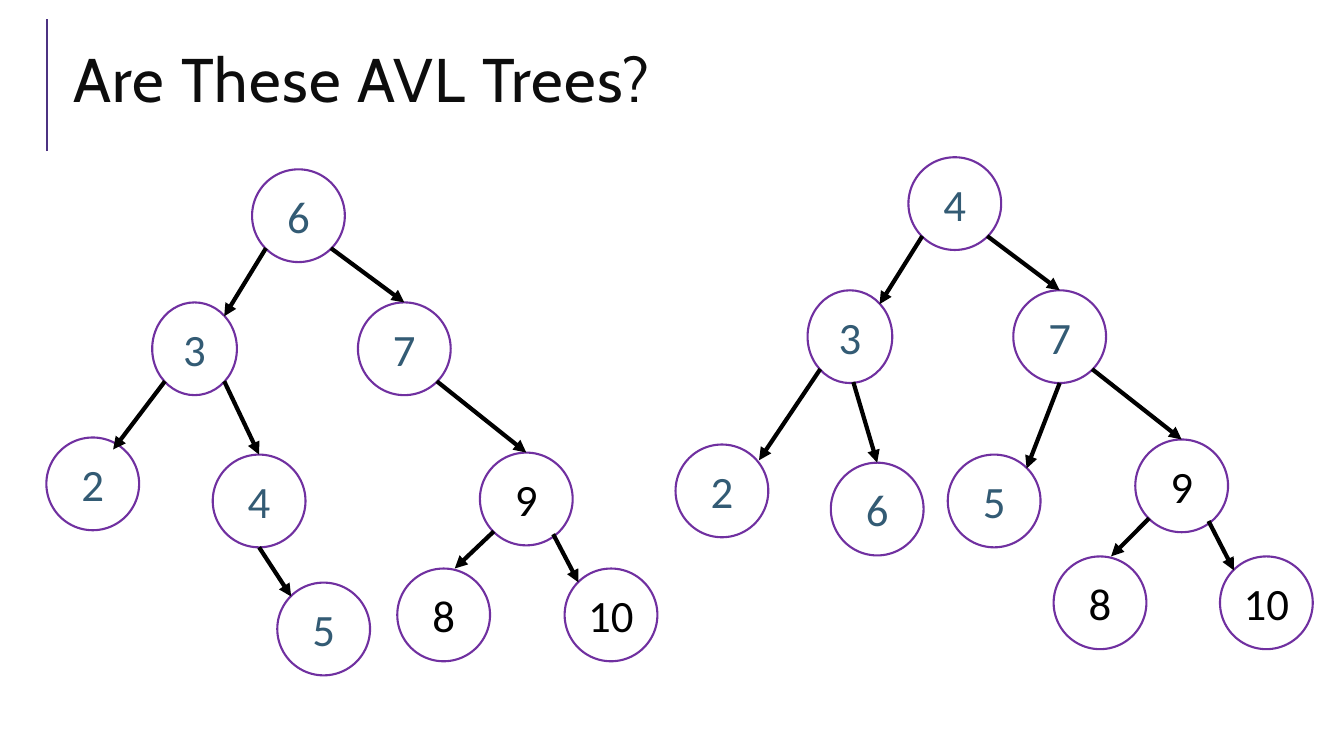
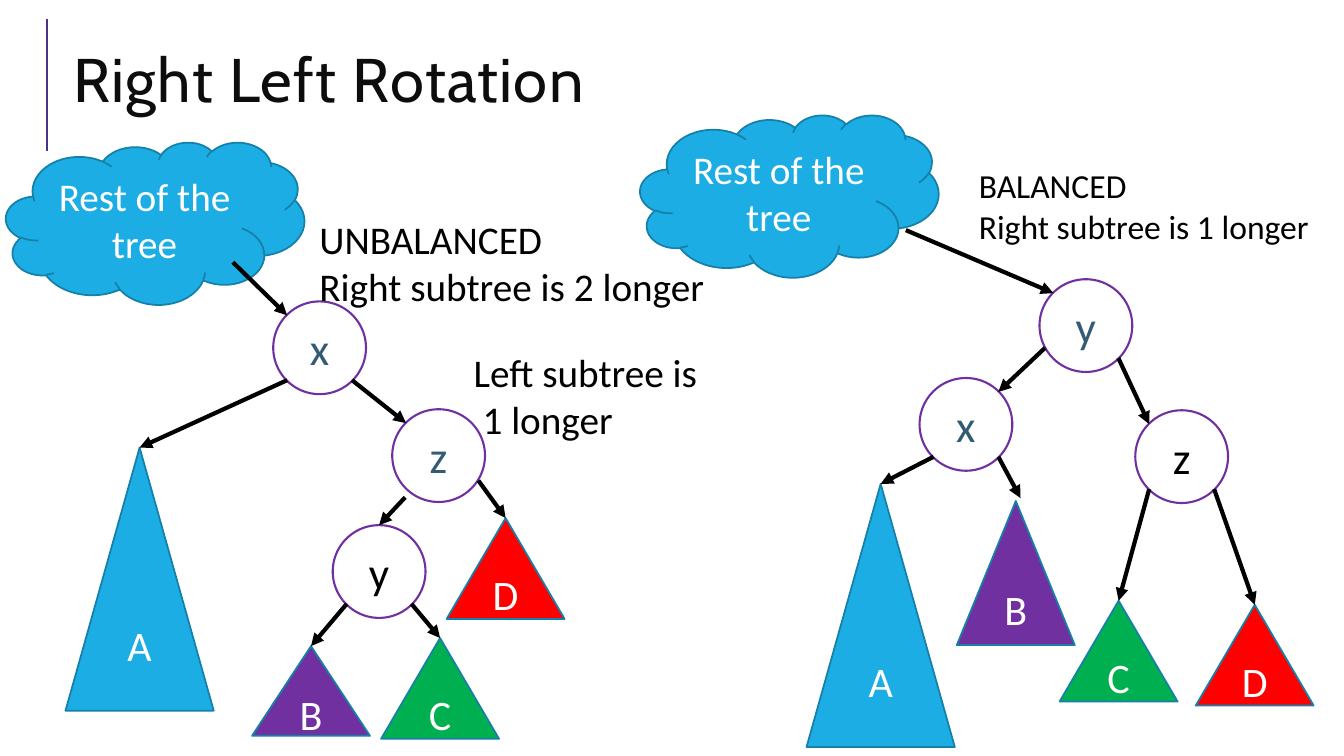
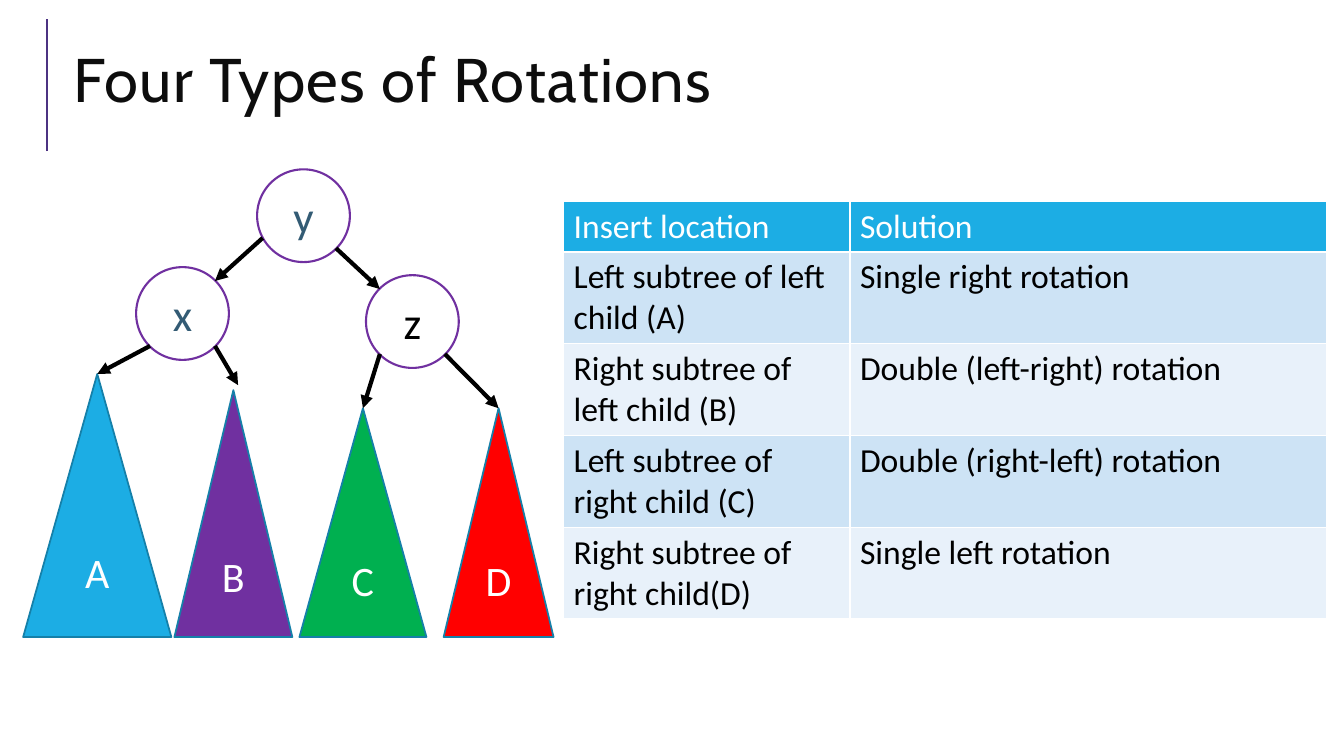
from itertools import cycle

from lxml.etree import SubElement
from pptx import Presentation
from pptx.dml.color import RGBColor
from pptx.enum.shapes import MSO_CONNECTOR, MSO_SHAPE as Preset
from pptx.enum.text import MSO_ANCHOR as Anchor, PP_ALIGN as Align
from pptx.oxml.ns import qn
from pptx.util import Inches, Pt

presentation = Presentation()
presentation.slide_width, presentation.slide_height = Inches(13.33), Inches(7.5)
COLUMN = presentation.slide_width / 13.33
ROW = presentation.slide_height / 7.5

rgb = RGBColor.from_string
BLACK, WHITE, TEAL, BLUE = "000000", "FFFFFF", "335B74", "1CADE4"
PURPLE, DARK_BLUE, TITLE_BAR, TITLE_COLOR = "7030A0", "1580A9", "4C3282", "0D0D0D"
BODY_FONT, TITLE_FONT = "Calibri", "Cabin"
SUBTREE_FILLS = {"A": BLUE, "B": PURPLE, "C": "00B050", "D": "FF0000"}
CLOUD = "Rest of the tree"
CIRCLE = 0.92

# kind: preset, outline, outline width, text size, text colour, side margin
STYLES = {
    "node": (Preset.OVAL, PURPLE, 1.5, 32, TEAL, 0),
    "black node": (Preset.OVAL, PURPLE, 1.5, 32, BLACK, 0),
    "subtree": (Preset.ISOSCELES_TRIANGLE, DARK_BLUE, 1.25, 30, WHITE, 0),
    "cloud": (Preset.CLOUD, DARK_BLUE, 1.25, 28, WHITE, 0.1),
}

# Where an arrow touches a shape, as shares of the shape's width and height
TOP, BOTTOM = (0.5, 0), (0.5, 1)
TOP_LEFT, TOP_RIGHT = (0.15, 0.15), (0.85, 0.15)
BOTTOM_LEFT, BOTTOM_RIGHT = (0.15, 0.85), (0.85, 0.85)
RIGHT_OF_TOP, LOW_RIGHT, LOW_LEFT = (0.62, 0), (0.79, 0.88), (0.06, 0.74)
ABOVE_TOP = (0.54, -0.02)

# Each tree: shapes as name: (kind, left, top, width, height), then arrows
number_trees = [
    ({
        "6": ("node", 2.5, 1.68, CIRCLE, CIRCLE),
        "3": ("node", 1.51, 3, 0.84, CIRCLE),
        "7": ("node", 3.55, 3, CIRCLE, CIRCLE),
        "2": ("node", 0.46, 4.34, CIRCLE, CIRCLE),
        "4": ("node", 2.11, 4.51, CIRCLE, CIRCLE),
        "5": ("node", 2.75, 5.78, CIRCLE, CIRCLE),
        "9": ("black node", 4.76, 4.49, CIRCLE, CIRCLE),
        "8": ("black node", 3.94, 5.64, CIRCLE, CIRCLE),
        "10": ("black node", 5.6, 5.64, CIRCLE, CIRCLE),
    }, [
        ("6", BOTTOM_LEFT, "3", TOP_RIGHT),
        ("6", BOTTOM_RIGHT, "7", TOP),
        ("3", BOTTOM_LEFT, "2", (0.72, 0.13)),
        ("3", BOTTOM_RIGHT, "4", TOP),
        ("4", BOTTOM, "5", TOP_LEFT),
        ("7", BOTTOM_RIGHT, "9", TOP),
        ("9", BOTTOM_LEFT, "8", RIGHT_OF_TOP),
        ("9", LOW_RIGHT, "10", TOP_LEFT),
    ]),
    ({
        "4": ("node", 9.01, 1.56, CIRCLE, CIRCLE),
        "3": ("node", 8.01, 2.88, 0.84, CIRCLE),
        "7": ("node", 10.05, 2.88, CIRCLE, CIRCLE),
        "2": ("node", 6.7, 4.41, CIRCLE, CIRCLE),
        "6": ("node", 8.24, 4.59, CIRCLE, CIRCLE),
        "5": ("node", 9.4, 4.51, CIRCLE, CIRCLE),
        "9": ("black node", 11.26, 4.36, CIRCLE, CIRCLE),
        "8": ("black node", 10.45, 5.52, CIRCLE, CIRCLE),
        "10": ("black node", 12.1, 5.52, CIRCLE, CIRCLE),
    }, [
        ("4", BOTTOM_LEFT, "3", TOP_RIGHT),
        ("4", BOTTOM_RIGHT, "7", TOP),
        ("3", BOTTOM_LEFT, "2", (0.9, 0.17)),
        ("3", (0.54, 0.99), "6", TOP),
        ("7", BOTTOM, "5", TOP_RIGHT),
        ("7", BOTTOM_RIGHT, "9", TOP),
        ("9", BOTTOM_LEFT, "8", RIGHT_OF_TOP),
        ("9", LOW_RIGHT, "10", TOP_LEFT),
    ]),
]

balanced_arrows = [
    ("y", LOW_LEFT, "x", TOP_RIGHT),
    ("y", BOTTOM_RIGHT, "z", TOP_LEFT),
    ("x", BOTTOM_LEFT, "A", TOP),
    ("x", BOTTOM_RIGHT, "B", ABOVE_TOP),
    ("z", BOTTOM_LEFT, "C", TOP),
    ("z", BOTTOM_RIGHT, "D", TOP),
]

rotation_trees = [
    ({
        "x": ("node", 2.71, 2.99, CIRCLE, CIRCLE),
        "z": ("node", 3.89, 4.06, CIRCLE, CIRCLE),
        "y": ("black node", 3.3, 5.21, CIRCLE, CIRCLE),
        CLOUD: ("cloud", 0.06, 1.41, 2.96, 1.61),
        "A": ("subtree", 0.65, 4.44, 1.47, 2.61),
        "B": ("subtree", 2.5, 6.41, 1.17, 0.89),
        "C": ("subtree", 3.78, 6.33, 1.17, 1),
        "D": ("subtree", 4.43, 5.14, 1.17, 1),
    }, [
        (CLOUD, (0.76, 0.74), "x", TOP_LEFT),
        ("x", BOTTOM_LEFT, "A", TOP),
        ("x", BOTTOM_RIGHT, "z", TOP_LEFT),
        ("z", (0.14, 0.95), "y", TOP),
        ("z", (0.93, 0.77), "D", TOP),
        ("y", BOTTOM_LEFT, "B", TOP),
        ("y", BOTTOM_RIGHT, "C", TOP),
    ]),
    ({
        "x": ("node", 9.12, 3.75, CIRCLE, CIRCLE),
        "y": ("node", 10.31, 2.77, CIRCLE, CIRCLE),
        "z": ("black node", 11.26, 4.07, CIRCLE, CIRCLE),
        CLOUD: ("cloud", 6.35, 1.14, 2.96, 1.61),
        "A": ("subtree", 8, 4.8, 1.47, 2.61),
        "B": ("subtree", 9.49, 4.97, 1.17, 1.43),
        "C": ("subtree", 10.51, 5.96, 1.17, 1),
        "D": ("subtree", 11.86, 6, 1.17, 1),
    }, [(CLOUD, (0.89, 0.71), "y", TOP_LEFT)] + balanced_arrows),
]

summary_trees = [
    ({
        "x": ("node", 1.35, 2.65, CIRCLE, CIRCLE),
        "y": ("node", 2.55, 1.68, CIRCLE, CIRCLE),
        "z": ("black node", 3.63, 2.73, CIRCLE, CIRCLE),
        "A": ("subtree", 0.23, 3.71, 1.47, 2.61),
        "B": ("subtree", 1.73, 3.87, 1.17, 2.45),
        "C": ("subtree", 2.97, 4.05, 1.26, 2.27),
        "D": ("subtree", 4.4, 4.05, 1.09, 2.27),
    }, balanced_arrows),
]

rotation_notes = [
    ((9.61, 1.59, 3.76, 0.91), 24, ["BALANCED", "Right subtree is 1 longer"]),
    ((3.07, 2.09, 4.55, 1.04), 28, ["UNBALANCED", "Right subtree is 2 longer"]),
    ((4.6, 3.41, 4.55, 1.04), 28, ["Left subtree is", " 1 longer"]),
]

# Title, trees, notes
slides = [
    ("Are These AVL Trees?", number_trees, []),
    ("Right Left Rotation", rotation_trees, rotation_notes),
    ("Four Types of Rotations", summary_trees, []),
]

solutions = [
    ("Insert location", "Solution"),
    ("Left subtree of left child (A)", "Single right rotation"),
    ("Right subtree of left child (B)", "Double (left-right) rotation"),
    ("Left subtree of right child (C)", "Double (right-left) rotation"),
    ("Right subtree of right child(D)", "Single left rotation"),
]


def cells(*lengths):
    """Turn alternating column and row counts into slide units."""
    return [round(length * unit) for length, unit in zip(lengths, cycle((COLUMN, ROW)))]


def write(text_frame, lines, size, color, align=Align.LEFT, font=BODY_FONT):
    text_frame.word_wrap = True
    text_frame.text = "\n".join(lines)
    for paragraph in text_frame.paragraphs:
        paragraph.alignment = align
        for run in paragraph.runs:
            run.font.name, run.font.size, run.font.bold = font, Pt(size), False
            run.font.color.rgb = rgb(color)


for title, trees, notes in slides:
    slide = presentation.slides.add_slide(presentation.slide_layouts[6])

    title_frame = slide.shapes.add_textbox(*cells(0.63, 0.29, 12.23, 1.11)).text_frame
    title_frame.vertical_anchor = Anchor.MIDDLE
    write(title_frame, [title], 44, TITLE_COLOR, font=TITLE_FONT)
    title_paragraph = title_frame.paragraphs[0]
    title_paragraph.line_spacing = 0.8
    title_paragraph.runs[0]._r.get_or_add_rPr().set("spc", "100")

    # Start and end, colour, width, arrowhead
    lines = [((0.47, 1.5, 0.47, 0.19), TITLE_BAR, 1.5, False)]
    for shapes, arrows in trees:
        for name, (kind, *box) in shapes.items():
            preset, outline, outline_width, size, color, margin = STYLES[kind]
            shape = slide.shapes.add_shape(preset, *cells(*box))
            shape.shadow.inherit = False
            shape.fill.solid()
            fill = BLUE if kind == "cloud" else SUBTREE_FILLS.get(name, WHITE)
            shape.fill.fore_color.rgb = rgb(fill)
            shape.line.color.rgb = rgb(outline)
            shape.line.width = Pt(outline_width)
            frame = shape.text_frame
            frame.margin_left = frame.margin_right = Inches(margin)
            frame.vertical_anchor = Anchor.MIDDLE
            write(frame, [name], size, color, Align.CENTER)

        for parent, parent_site, child, child_site in arrows:
            ends = []
            for name, (across, down) in ((parent, parent_site), (child, child_site)):
                _, left, top, width, height = shapes[name]
                ends += [left + across * width, top + down * height]
            lines.append((ends, BLACK, 3, True))

    for ends, color, width, has_arrowhead in lines:
        connector = slide.shapes.add_connector(MSO_CONNECTOR.STRAIGHT, *cells(*ends))
        connector.line.color.rgb = rgb(color)
        connector.line.width = Pt(width)
        properties = connector._element.spPr
        if has_arrowhead:
            SubElement(properties.find(qn("a:ln")), qn("a:tailEnd"), type="triangle")
        SubElement(properties, qn("a:effectLst"))

    for box, size, note_lines in notes:
        note = slide.shapes.add_textbox(*cells(*box))
        write(note.text_frame, note_lines, size, BLACK)

# The table of solutions stands on the last slide
table_box = cells(5.59, 2, 7.57, 4.16)
table = slide.shapes.add_table(len(solutions), 2, *table_box).table
for column, width in zip(table.columns, (2.84, 4.73)):
    column.width = round(width * COLUMN)
for row_index, texts in enumerate(solutions):
    is_header = row_index == 0
    table.rows[row_index].height = round((0.5 if is_header else 0.91) * ROW)
    fill = BLUE if is_header else ("E8F1FA", "CDE3F5")[row_index % 2]
    for column_index, text in enumerate(texts):
        cell = table.cell(row_index, column_index)
        write(cell.text_frame, [text], 24, WHITE if is_header else BLACK)
        cell_properties = cell._tc.get_or_add_tcPr()
        for side in ("a:lnL", "a:lnR", "a:lnT", "a:lnB"):
            border = SubElement(cell_properties, qn(side), w=str(Pt(1)))
            SubElement(SubElement(border, qn("a:solidFill")), qn("a:srgbClr"), val=WHITE)
        cell.fill.solid()
        cell.fill.fore_color.rgb = rgb(fill)

presentation.save("out.pptx")
